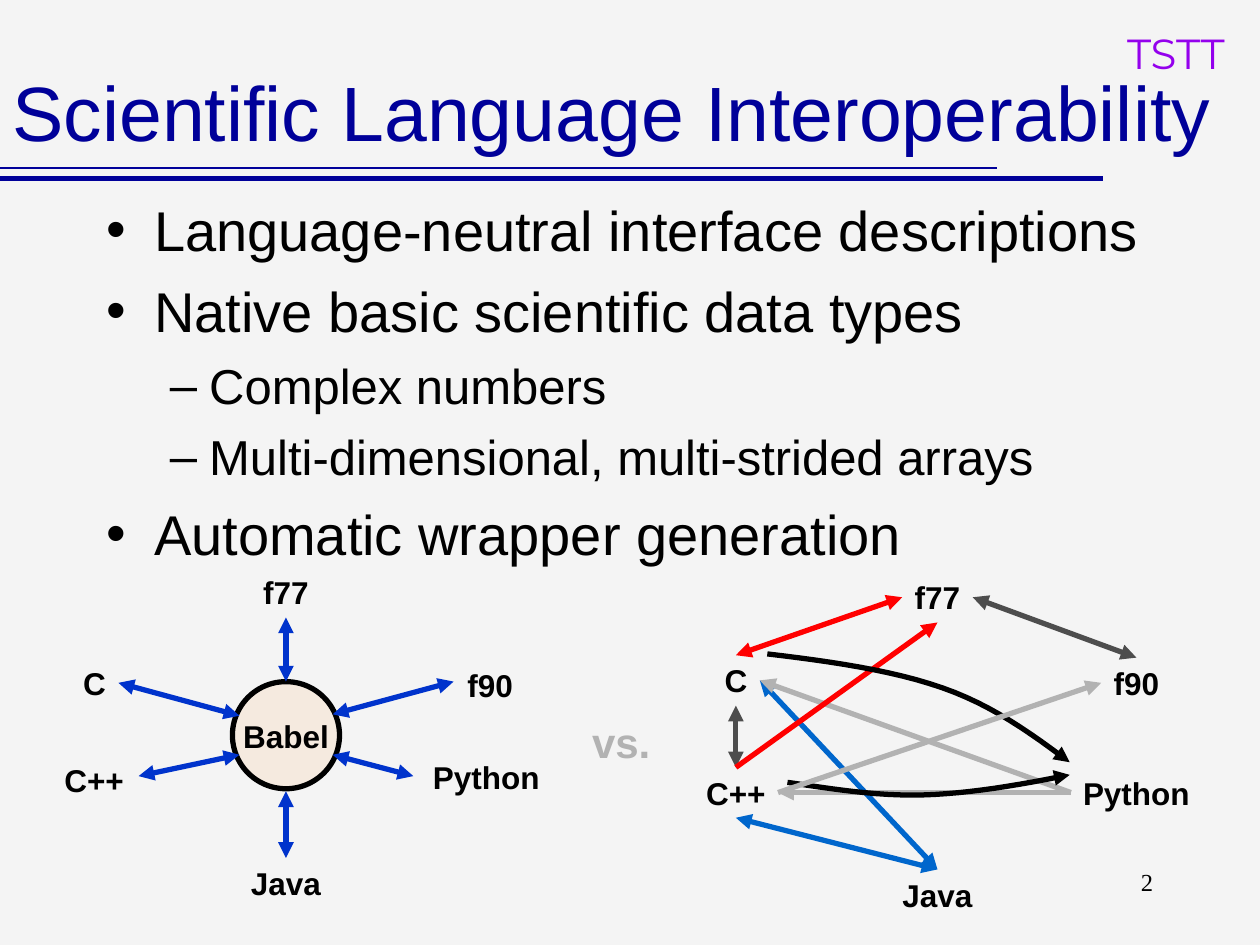
from typing import NamedTuple, Optional

from lxml.etree import SubElement
from pptx import Presentation
from pptx.dml.color import RGBColor
from pptx.enum.shapes import MSO_CONNECTOR, MSO_SHAPE
from pptx.enum.text import MSO_ANCHOR, PP_ALIGN
from pptx.oxml.ns import qn
from pptx.util import Pt

COLORS = {
    "background": "F4F4F4", "navy": "000099", "violet": "9400ED", "black": "000000",
    "silver": "B2B2B2", "charcoal": "4D4D4D", "azure": "0066CC", "red": "FF0000",
    "blue": "0033CC", "cream": "F5EADF",
}
LABEL_WIDTHS = {"C": 27.4, "C++": 48.2, "f77": 40.3, "f90": 40.3, "Python": 74.9,
                "Java": 54, "Babel": 63.4}
LABEL_HEIGHT = 28.8
TOP, LEFT, BOTTOM, RIGHT = range(4)
Point = tuple[float, float]


class Label(NamedTuple):
    text: str
    center: float
    top: float


class Link(NamedTuple):
    start: str
    start_side: int
    end: str
    end_side: int
    color: str
    head: bool = True
    tail: bool = True


class Spoke(NamedTuple):
    language: str
    outer: Point
    inner: Point
    label_side: Optional[int] = None
    hub_side: Optional[int] = None


class Bullet(NamedTuple):
    text: str
    level: int = 0


class BulletStyle(NamedTuple):
    mark: str
    size: float
    margin: float
    hang: float
    before: float


PAIRWISE_LABELS = [
    Label("C", 420.5, 374.4), Label("C++", 420.5, 438.5), Label("f77", 535.7, 326.9),
    Label("f90", 649.4, 375.8), Label("Python", 649.4, 438.5), Label("Java", 535.7, 496.8),
]
LINKS = [
    Link("C++", TOP, "C", BOTTOM, "charcoal"),
    Link("C++", BOTTOM, "Java", TOP, "azure"),
    Link("C++", RIGHT, "Python", LEFT, "silver", tail=False),
    Link("C", TOP, "f77", LEFT, "red"),
    Link("f90", TOP, "f77", RIGHT, "charcoal"),
    Link("Java", TOP, "C", RIGHT, "azure"),
    Link("Python", LEFT, "C", RIGHT, "silver", head=False),
    Link("C++", TOP, "f77", BOTTOM, "red", head=False),
]
LAST_LINK = Link("f90", LEFT, "C++", RIGHT, "silver", head=False)
CURVES = [
    [(450, 447.1), (475.2, 450.7), (499.7, 455), (527, 454.3),
     (553.7, 453.6), (582.5, 448.6), (611.3, 442.8)],
    [(438.5, 373.7), (474.5, 378), (509.8, 383), (538.6, 393.1),
     (567.4, 403.2), (589, 419), (611.3, 435.6)],
]
HUB_LABELS = [
    Label("C", 54, 375.8), Label("C++", 53.8, 431.3), Label("f77", 163.4, 324),
    Label("f90", 280.1, 377.3), Label("Python", 277.9, 429.8), Label("Java", 163.4, 490.3),
    Label("Babel", 163.4, 406.1),
]
SPOKES = [
    Spoke("C", (67.7, 389.5), (136.8, 409), RIGHT),
    Spoke("f77", (163.4, 351.4), (163.4, 389.5), BOTTOM, TOP),
    Spoke("f90", (259.2, 389.5), (190.1, 408.2)),
    Spoke("Python", (236.2, 443.5), (190.1, 431.3)),
    Spoke("C++", (79.2, 443.5), (136.8, 431.3)),
    Spoke("Java", (163.4, 490.3), (163.4, 452.2), TOP),
]
BULLET_STYLES = [BulletStyle("•", 32, 27, -27, 8), BulletStyle("–", 28, 58.5, -22.5, 7)]
BULLETS = [
    Bullet("Language-neutral interface descriptions"),
    Bullet("Native basic scientific data types"),
    Bullet("Complex numbers", 1),
    Bullet("Multi-dimensional, multi-strided arrays", 1),
    Bullet("Automatic wrapper generation"),
]


def rgb(color: str) -> RGBColor:
    return RGBColor.from_string(COLORS[color])


def style_paragraph(paragraph, size: float, color: str, font: str = "Arial", bold: bool = False):
    for run in paragraph.runs:
        run.font.size, run.font.name, run.font.bold = Pt(size), font, bold
        run.font.color.rgb = rgb(color)


def add_text(shapes, text: str, box: tuple, size: float, color: str, font: str = "Arial",
             bold: bool = False, align=PP_ALIGN.LEFT, wrap: bool = True):
    textbox = shapes.add_textbox(*map(Pt, box))
    textbox.text_frame.word_wrap = wrap
    textbox.text_frame.text = text
    paragraph = textbox.text_frame.paragraphs[0]
    paragraph.alignment = align
    style_paragraph(paragraph, size, color, font, bold)
    return textbox


def add_labels(shapes, labels: list[Label]) -> dict:
    boxes = {}
    for label in labels:
        width = LABEL_WIDTHS[label.text]
        box = (label.center - width / 2, label.top, width, LABEL_HEIGHT)
        textbox = add_text(shapes, label.text, box, 18, "black", bold=True,
                           align=PP_ALIGN.CENTER, wrap=False)
        textbox.text_frame.margin_left = textbox.text_frame.margin_right = Pt(0)
        boxes[label.text] = textbox
    return boxes


def style_line(shape, color: str, width: float, head: bool, tail: bool):
    shape.line.color.rgb = rgb(color)
    shape.line.width = Pt(width)
    outline = shape.element.spPr.find(qn("a:ln"))
    for end, shown in (("a:headEnd", head), ("a:tailEnd", tail)):
        if shown:
            SubElement(outline, qn(end), type="triangle")


def add_line(shapes, start: Point, end: Point, color: str, width: float = 3,
             head: bool = False, tail: bool = False):
    line = shapes.add_connector(MSO_CONNECTOR.STRAIGHT, *map(Pt, start + end))
    style_line(line, color, width, head, tail)
    SubElement(line.element.spPr, qn("a:effectLst"))
    return line


def side_point(box, side: int) -> Point:
    across, down = [(0.5, 0), (0, 0.5), (0.5, 1), (1, 0.5)][side]
    return box.left.pt + across * box.width.pt, box.top.pt + down * box.height.pt


def add_link(shapes, boxes: dict, link: Link):
    start, end = boxes[link.start], boxes[link.end]
    line = add_line(shapes, side_point(start, link.start_side), side_point(end, link.end_side),
                    link.color, head=link.head, tail=link.tail)
    line.begin_connect(start, link.start_side)
    line.end_connect(end, link.end_side)


def bezier_point(controls: list[Point], t: float) -> Point:
    weights = ((1 - t) ** 3, 3 * t * (1 - t) ** 2, 3 * t ** 2 * (1 - t), t ** 3)
    x, y = (sum(w * value for w, value in zip(weights, axis)) for axis in zip(*controls))
    return x, y


def add_curve(shapes, controls: list[Point], steps: int = 12):
    points = [bezier_point(controls[first:first + 4], step / steps)
              for first in (0, 3) for step in range(1, steps + 1)]
    builder = shapes.build_freeform(*map(Pt, controls[0]))
    builder.add_line_segments([(Pt(x), Pt(y)) for x, y in points], close=False)
    curve = builder.convert_to_shape()
    curve.shadow.inherit = False
    curve.fill.background()
    style_line(curve, "black", 3, False, True)


def add_pairwise_diagram(slide):
    shapes = slide.shapes.add_group_shape().shapes
    boxes = add_labels(shapes, PAIRWISE_LABELS)
    for link in LINKS:
        add_link(shapes, boxes, link)
    for curve in CURVES:
        add_curve(shapes, curve)
    add_link(shapes, boxes, LAST_LINK._replace(head=True, tail=False))


def add_hub_diagram(slide):
    shapes = slide.shapes.add_group_shape().shapes
    hub = shapes.add_shape(MSO_SHAPE.OVAL, Pt(132.8), Pt(389.5), Pt(61.2), Pt(61.2))
    hub.shadow.inherit = False
    hub.fill.solid()
    hub.fill.fore_color.rgb = rgb("cream")
    style_line(hub, "black", 3, False, False)
    boxes = add_labels(shapes, HUB_LABELS)
    for spoke in SPOKES:
        line = add_line(shapes, spoke.outer, spoke.inner, "blue", head=True, tail=True)
        if spoke.label_side is not None:
            line.begin_connect(boxes[spoke.language], spoke.label_side)
        if spoke.hub_side is not None:
            line.end_connect(hub, spoke.hub_side)


def add_bullets(slide):
    frame = slide.shapes.add_textbox(Pt(54), Pt(108), Pt(642), Pt(324)).text_frame
    frame.word_wrap = True
    for index, bullet in enumerate(BULLETS):
        paragraph = frame.add_paragraph() if index else frame.paragraphs[0]
        style = BULLET_STYLES[bullet.level]
        paragraph.text, paragraph.level = bullet.text, bullet.level
        paragraph.space_before = Pt(style.before)
        style_paragraph(paragraph, style.size, "black")
        properties = paragraph._p.get_or_add_pPr()
        properties.set("marL", str(Pt(style.margin)))
        properties.set("indent", str(Pt(style.hang)))
        SubElement(SubElement(properties, qn("a:buClr")), qn("a:srgbClr"), val=COLORS["black"])
        SubElement(properties, qn("a:buFont"), typeface="Arial")
        SubElement(properties, qn("a:buChar"), char=style.mark)


def main():
    """Build the language interoperability slide."""
    deck = Presentation()
    deck.slide_width, deck.slide_height = Pt(720), Pt(540)
    slide = deck.slides.add_slide(deck.slide_layouts[6])
    slide.background.fill.solid()
    slide.background.fill.fore_color.rgb = rgb("background")
    add_line(slide.shapes, (0, 96), (570, 96), "navy", 1)
    add_line(slide.shapes, (0, 102), (630, 102), "navy")
    add_text(slide.shapes, "TSTT", (637, 12, 72, 24), 24, "violet", "Montserrat", wrap=False)
    add_pairwise_diagram(slide)
    versus = add_text(slide.shapes, "vs.", (315.4, 409, 79.2, 33.1), 24, "silver", bold=True,
                      align=PP_ALIGN.CENTER).text_frame.paragraphs[0]
    versus.line_spacing, versus.space_before = 0.9, Pt(6)
    add_hub_diagram(slide)
    title = add_text(slide.shapes, "Scientific Language Interoperability", (0, 18, 720, 90),
                     44, "navy")
    title.text_frame.vertical_anchor = MSO_ANCHOR.MIDDLE
    add_bullets(slide)
    add_text(slide.shapes, "2", (516.2, 491.8, 149.8, 36), 14, "black", "Times New Roman",
             align=PP_ALIGN.RIGHT)
    deck.save("out.pptx")


if __name__ == "__main__":
    main()
